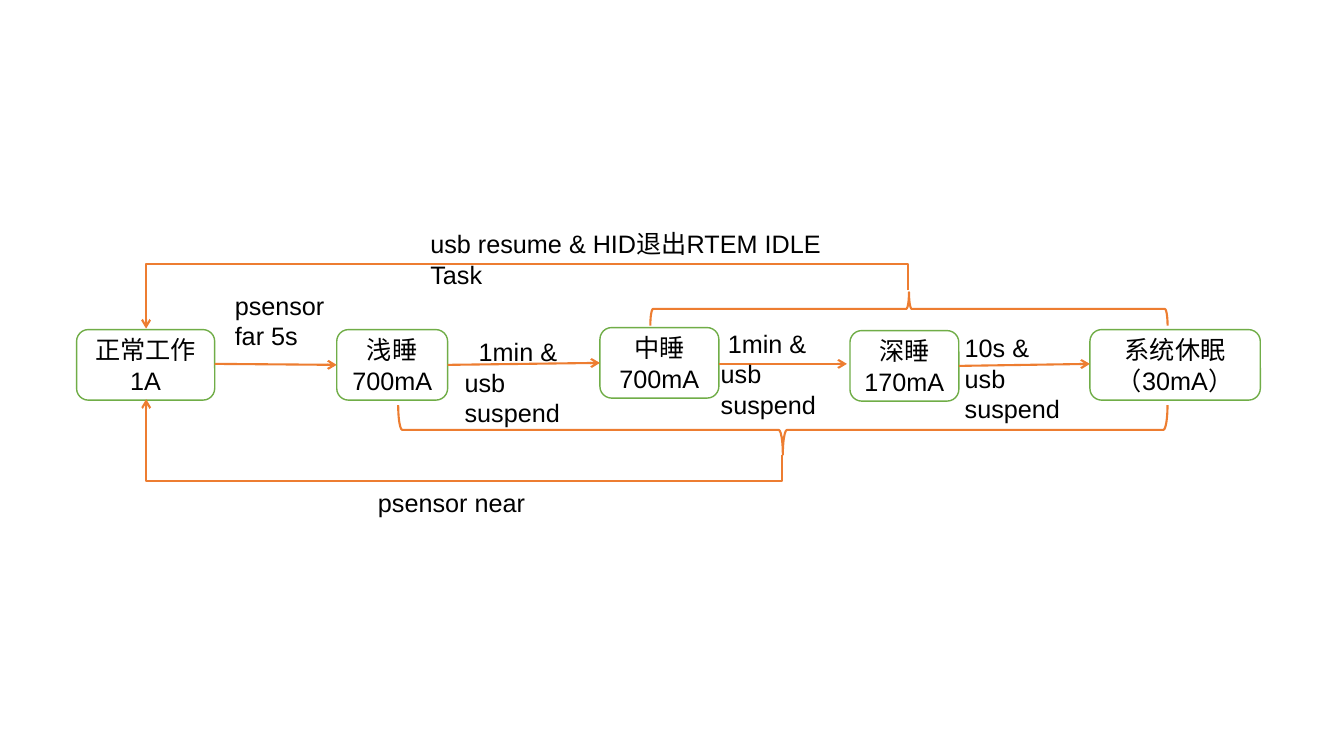
from typing import NamedTuple

import pptx
import pptx.util
import pptx.dml.color
import pptx.enum.shapes
import pptx.enum.text
import pptx.oxml.ns
from lxml import etree

Inches = pptx.util.Inches
Pt = pptx.util.Pt
qn = pptx.oxml.ns.qn
SHAPES = pptx.enum.shapes.MSO_SHAPE
CONNECTORS = pptx.enum.shapes.MSO_CONNECTOR
ALIGN = pptx.enum.text.PP_ALIGN
ANCHOR = pptx.enum.text.MSO_ANCHOR

COLORS = {"text": "000000", "box": "FFFFFF", "border": "70AD47", "flow": "ED7D31"}
STATE_HEIGHT = 0.7


class State(NamedTuple):
    lines: list[str]
    left: float
    top: float
    width: float


class Label(NamedTuple):
    lines: list[str]
    left: float
    top: float
    width: float
    height: float = 0.71
    indent: float = 0


class Arrow(NamedTuple):
    start: tuple[float, float]
    end: tuple[float, float]


class ReturnArrow(NamedTuple):
    start: tuple[float, float]
    end: tuple[float, float]
    lane: float


class Brace(NamedTuple):
    left: float
    top: float
    width: float
    height: float
    rotation: int


STATES = [
    State(["正常工作", "1A"], 0.76, 3.27, 1.37),
    State(["浅睡", "700mA"], 3.34, 3.27, 1.1),
    State(["中睡", "700mA"], 5.95, 3.25, 1.18),
    State(["深睡", "170mA"], 8.43, 3.28, 1.08),
    State(["系统休眠（30mA）"], 10.81, 3.27, 1.69),
]
ARROWS = [
    Arrow((2.13, 3.61), (3.34, 3.62)),
    Arrow((4.44, 3.62), (5.95, 3.6)),
    Arrow((7.13, 3.61), (8.4, 3.61)),
    Arrow((9.51, 3.63), (10.81, 3.61)),
]
RETURN_ARROWS = [
    ReturnArrow((7.76, 4.51), (1.45, 3.96), 4.77),
    ReturnArrow((9.01, 2.88), (1.45, 3.26), 2.62),
]
BRACES = [Brace(7.52, 0.45, 0.49, 7.63, 270), Brace(8.85, 0.5, 0.33, 5.13, 90)]
LABELS = [
    Label(["psensor far 5s"], 2.23, 2.83, 1.11),
    Label(["1min & usb suspend"], 4.51, 3.29, 1.46, indent=0.14),
    Label(["1min & usb suspend"], 7.05, 3.21, 1.43, indent=0.07),
    Label(["10s &", "usb suspend"], 9.47, 3.25, 1.46),
    Label(["psensor near"], 3.65, 4.79, 1.91, 0.4),
    Label(["usb resume & HID退出RTEM IDLE Task"], 4.17, 2.22, 4.59, 0.4),
]


def color(name: str) -> pptx.dml.color.RGBColor:
    return pptx.dml.color.RGBColor.from_string(COLORS[name])


def write_text(shape, lines: list[str], *, align=ALIGN.LEFT, anchor=ANCHOR.TOP,
               indent: float = 0, size: int = 18, font: str = "Arial") -> None:
    frame = shape.text_frame
    frame.word_wrap = True
    frame.vertical_anchor = anchor
    frame.text = "\n".join(lines)
    for paragraph in frame.paragraphs:
        paragraph.alignment = align
        paragraph.font.size = Pt(size)
        paragraph.font.name = font
        paragraph.font.color.rgb = color("text")
        if indent:
            paragraph._p.get_or_add_pPr().set("indent", str(Inches(indent)))


def set_line(shape, name: str, width: float) -> None:
    shape.line.color.rgb = color(name)
    shape.line.width = Pt(width)


def draw_state(slide, state: State) -> None:
    shape = slide.shapes.add_shape(
        SHAPES.ROUNDED_RECTANGLE, Inches(state.left), Inches(state.top),
        Inches(state.width), Inches(STATE_HEIGHT))
    shape.shadow.inherit = False
    shape.fill.solid()
    shape.fill.fore_color.rgb = color("box")
    set_line(shape, "border", 1)
    write_text(shape, state.lines, align=ALIGN.CENTER, anchor=ANCHOR.MIDDLE)


def draw_brace(slide, brace: Brace) -> None:
    shape = slide.shapes.add_shape(
        SHAPES.LEFT_BRACE, Inches(brace.left), Inches(brace.top),
        Inches(brace.width), Inches(brace.height))
    shape.rotation = brace.rotation
    shape.shadow.inherit = False
    shape.fill.background()
    set_line(shape, "flow", 1.5)


def draw_label(slide, label: Label) -> None:
    box = slide.shapes.add_textbox(
        Inches(label.left), Inches(label.top), Inches(label.width), Inches(label.height))
    write_text(box, label.lines, indent=label.indent)
    box.text_frame.auto_size = pptx.enum.text.MSO_AUTO_SIZE.SHAPE_TO_FIT_TEXT


def add_arrow(slide, kind, start: tuple[float, float], end: tuple[float, float]):
    connector = slide.shapes.add_connector(kind, *map(Inches, start + end))
    set_line(connector, "flow", 1.5)
    etree.SubElement(connector.line._get_or_add_ln(), qn("a:tailEnd"), type="arrow")
    etree.SubElement(connector._element.spPr, qn("a:effectLst"))
    return connector


def draw_return_arrow(slide, arrow: ReturnArrow) -> None:
    (start_x, start_y), (end_x, end_y) = arrow.start, arrow.end
    center_x, center_y = (start_x + end_x) / 2, (start_y + end_y) / 2
    half_width, half_height = abs(end_y - start_y) / 2, (end_x - start_x) / 2
    rising = end_y < start_y
    if not rising:
        half_height = -half_height
    connector = add_arrow(
        slide, CONNECTORS.ELBOW,
        (center_x + half_width, center_y + half_height),
        (center_x - half_width, center_y - half_height))
    properties = connector._element.spPr
    properties.find(qn("a:xfrm")).set("rot", str((90 if rising else 270) * 60000))
    adjustments = properties.find(qn("a:prstGeom")).get_or_add_avLst()
    bend = round((arrow.lane - start_y) / (end_y - start_y) * 100000)
    etree.SubElement(adjustments, qn("a:gd"), name="adj1", fmla=f"val {bend}")


presentation = pptx.Presentation()
presentation.slide_width = Inches(13.33)
presentation.slide_height = Inches(7.5)
slide = presentation.slides.add_slide(presentation.slide_layouts[6])

for state in STATES:
    draw_state(slide, state)
for arrow in ARROWS:
    add_arrow(slide, CONNECTORS.STRAIGHT, arrow.start, arrow.end)
for brace in BRACES:
    draw_brace(slide, brace)
for return_arrow in RETURN_ARROWS:
    draw_return_arrow(slide, return_arrow)
for label in LABELS:
    draw_label(slide, label)

presentation.save("out.pptx")
